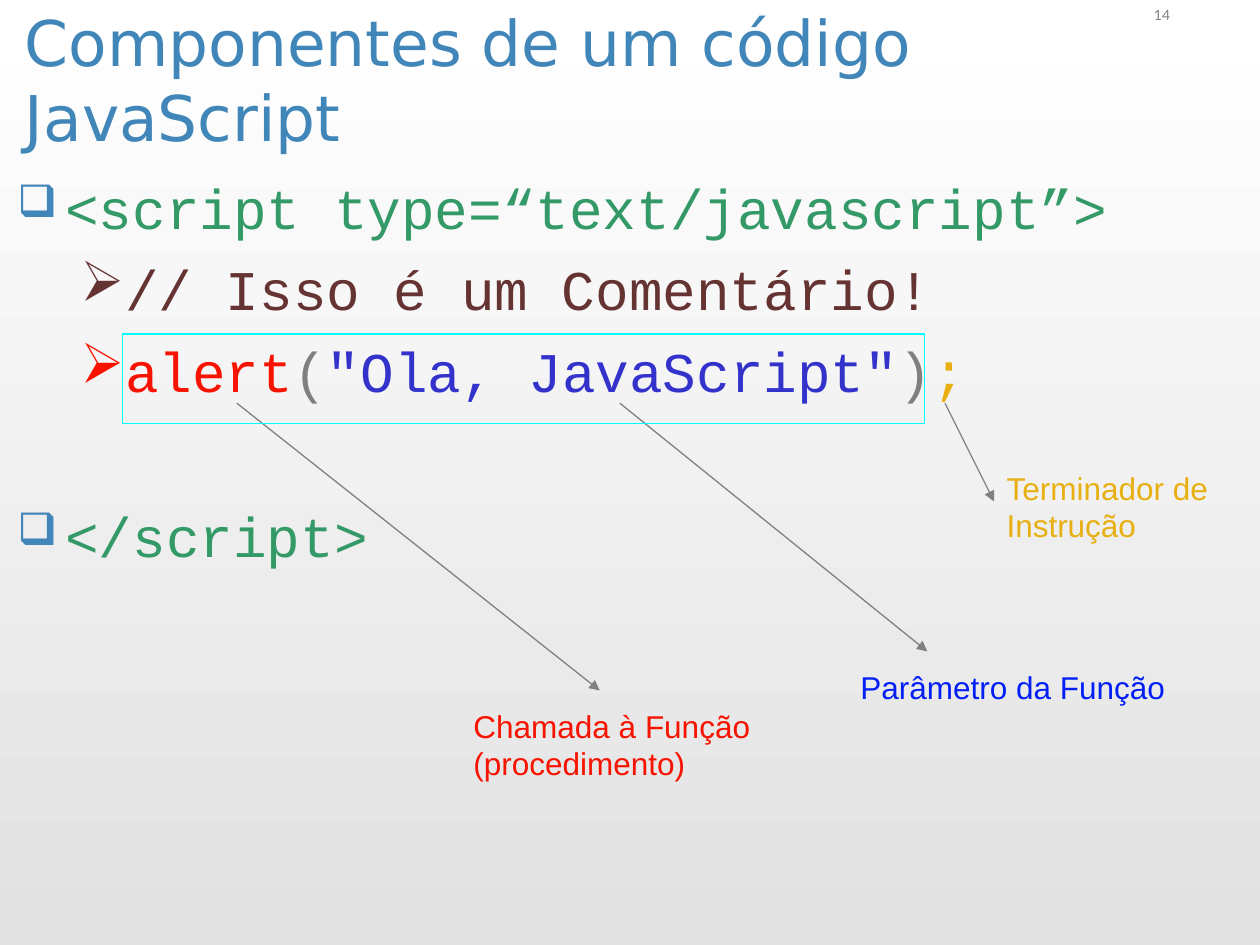
"""Build the slide that labels the parts of a JavaScript snippet."""
from dataclasses import dataclass
from typing import Optional

from lxml.etree import SubElement
from pptx import Presentation
from pptx.dml.color import RGBColor
from pptx.enum.shapes import MSO_CONNECTOR as Connector, MSO_SHAPE as Shape
from pptx.enum.text import MSO_ANCHOR as Anchor, MSO_AUTO_SIZE as AutoSize
from pptx.oxml.ns import qn
from pptx.util import Inches, Pt


@dataclass(frozen=True)
class Theme:
    blue: str = "4086B8"
    green: str = "339966"
    brown: str = "663333"
    red: str = "F81200"
    gray: str = "808080"
    indigo: str = "3333CC"
    gold: str = "E8AF10"
    label_blue: str = "021FF6"
    cyan: str = "00FFFF"
    background: tuple = ("FFFFFF", "E2E2E2")
    title_size: int = 36
    code_size: int = 32
    label_size: int = 18
    number_size: int = 8
    line_width: float = 0.75
    title_font: str = "DejaVu Sans"
    code_font: str = "Courier New"
    label_font: str = "Arial"
    number_font: str = "Lato"


THEME = Theme()


@dataclass(frozen=True)
class Style:
    name: str
    size: int


@dataclass(frozen=True)
class Bullet:
    character: str
    color: str
    level: int
    margin: float
    indent: float
    percent: int


@dataclass(frozen=True)
class Line:
    runs: tuple
    bullet: Optional[Bullet] = None
    space_before: int = 0


@dataclass(frozen=True)
class TextBlock:
    box: tuple
    style: Style
    lines: tuple
    frame_format: dict


@dataclass(frozen=True)
class Arrow:
    start: tuple
    end: tuple


def tag_bullet(color: str) -> Bullet:
    """Return the square bullet of a script tag."""
    return Bullet("❑", THEME.blue, 0, 0.38, -0.38, 80)


def statement_bullet(color: str) -> Bullet:
    """Return the arrow bullet of a statement in its colour."""
    return Bullet("➢", color, 1, 0.81, -0.31, 100)


def code_line(*runs: tuple, bullet=statement_bullet, space_before: int = 8) -> Line:
    """Return a bulleted line of code."""
    return Line(runs, bullet(runs[0][1]), space_before)


def label(box: tuple, color: str, *texts: str, wrap: bool = False) -> TextBlock:
    """Return a label that grows with its text."""
    frame_format = {"word_wrap": wrap, "auto_size": AutoSize.SHAPE_TO_FIT_TEXT}
    lines = tuple(Line(((text, color),)) for text in texts)
    return TextBlock(box, Style(THEME.label_font, THEME.label_size), lines, frame_format)


TEXT_BLOCKS = (
    TextBlock((9.06, 0, 0.78, 0.52), Style(THEME.number_font, THEME.number_size),
              (Line((("14", THEME.gray),)),), {"word_wrap": True}),
    TextBlock((0.1, 0, 9.63, 1.25), Style(THEME.title_font, THEME.title_size),
              (Line((("Componentes de um código JavaScript", THEME.blue),)),),
              {"word_wrap": True, "vertical_anchor": Anchor.MIDDLE}),
    TextBlock((0.04, 1.33, 9.66, 5.86), Style(THEME.code_font, THEME.code_size), (
        code_line(("<script type=“text/javascript”>", THEME.green), bullet=tag_bullet),
        code_line(("// Isso é um Comentário!", THEME.brown)),
        code_line(("alert", THEME.red), ("(", THEME.gray),
                  ('"Ola, JavaScript"', THEME.indigo), (")", THEME.gray),
                  (";", THEME.gold)),
        code_line(("</script>", THEME.green), bullet=tag_bullet, space_before=56),
    ), {"word_wrap": True}),
    label((3.66, 5.56, 3.86, 0.7), THEME.red, "Chamada à Função (procedimento)", wrap=True),
    label((6.73, 5.25, 2.62, 0.4), THEME.label_blue, "Parâmetro da Função"),
    label((7.89, 3.67, 1.89, 0.7), THEME.gold, "Terminador de", "Instrução"),
)

ARROWS = (
    Arrow((1.88, 3.2), (4.76, 5.48)),
    Arrow((4.92, 3.2), (7.36, 5.17)),
    Arrow((7.5, 3.2), (7.89, 3.98)),
)

CALL_BOX = (0.97, 2.65, 6.37, 0.71)


def paint_background(slide) -> None:
    """Fill the slide with a gradient from top to bottom."""
    fill = slide.background.fill
    fill.gradient()
    fill.gradient_angle = 270
    for stop, position, color in zip(fill.gradient_stops, (0, 1), THEME.background):
        stop.position = position
        stop.color.rgb = RGBColor.from_string(color)


def add_bullet(paragraph, bullet: Bullet) -> None:
    """Give a paragraph its bullet and hanging indent."""
    paragraph.level = bullet.level
    properties = paragraph._p.get_or_add_pPr()
    properties.set("marL", str(Inches(bullet.margin)))
    properties.set("indent", str(Inches(bullet.indent)))
    color = SubElement(properties, qn("a:buClr"))
    SubElement(color, qn("a:srgbClr"), val=bullet.color)
    SubElement(properties, qn("a:buSzPct"), val=str(bullet.percent * 1000))
    SubElement(properties, qn("a:buChar"), char=bullet.character)


def add_text(slide, block: TextBlock) -> None:
    """Draw a text block line by line."""
    frame = slide.shapes.add_textbox(*map(Inches, block.box)).text_frame
    for name, value in block.frame_format.items():
        setattr(frame, name, value)
    for index, line in enumerate(block.lines):
        paragraph = frame.add_paragraph() if index else frame.paragraphs[0]
        paragraph.space_before = Pt(line.space_before)
        if line.bullet:
            add_bullet(paragraph, line.bullet)
        for text, color in line.runs:
            run = paragraph.add_run()
            run.text = text
            font_format = {"name": block.style.name, "size": Pt(block.style.size)}
            for name, value in font_format.items():
                setattr(run.font, name, value)
            run.font.color.rgb = RGBColor.from_string(color)


def format_line(line, color: str) -> None:
    """Set the colour and the common width of a line."""
    line.color.rgb = RGBColor.from_string(color)
    line.width = Pt(THEME.line_width)


def add_arrow(slide, arrow: Arrow) -> None:
    """Draw an arrow from the code to its label."""
    connector = slide.shapes.add_connector(
        Connector.STRAIGHT, *map(Inches, arrow.start + arrow.end))
    format_line(connector.line, THEME.gray)
    SubElement(connector.line._get_or_add_ln(), qn("a:tailEnd"), type="triangle")
    SubElement(connector._element.spPr, qn("a:effectLst"))


def add_call_box(slide) -> None:
    """Outline the function call."""
    shape = slide.shapes.add_shape(Shape.RECTANGLE, *map(Inches, CALL_BOX))
    shape.shadow.inherit = False
    shape.fill.background()
    format_line(shape.line, THEME.cyan)


def main() -> None:
    """Build and save the presentation."""
    presentation = Presentation()
    presentation.slide_width, presentation.slide_height = Inches(10), Inches(7.5)
    slide = presentation.slides.add_slide(presentation.slide_layouts[6])
    paint_background(slide)
    for block in TEXT_BLOCKS:
        add_text(slide, block)
    for arrow in ARROWS:
        add_arrow(slide, arrow)
    add_call_box(slide)
    presentation.save("out.pptx")


if __name__ == "__main__":
    main()
